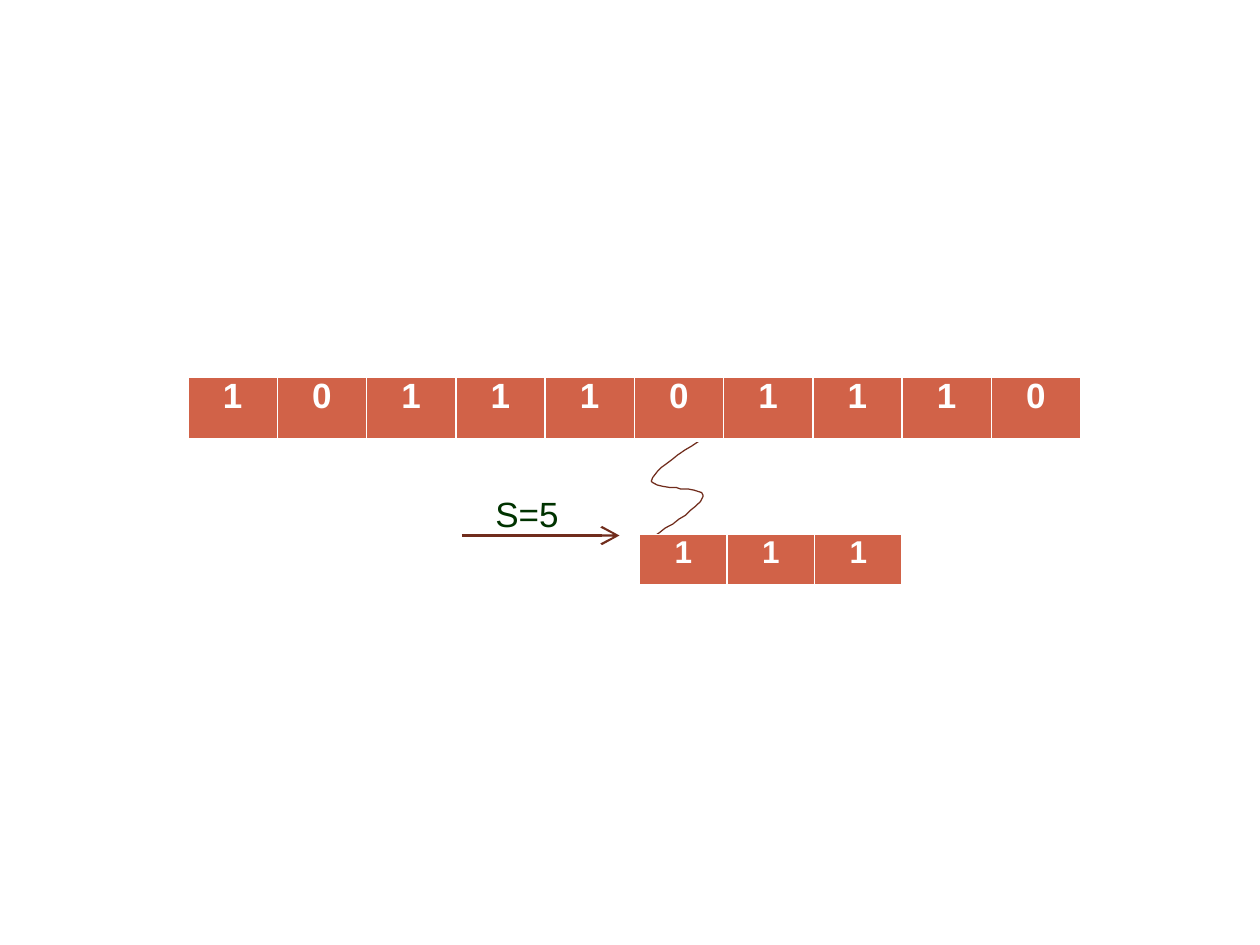
import pptx
import pptx.dml.color
import pptx.enum.shapes
import pptx.enum.text
import pptx.oxml
import pptx.oxml.ns
import pptx.util

Pt = pptx.util.Pt
CURVE = [
    (399.6, 252), (395.3, 254.9), (391.7, 257), (387.4, 259.9), (383.8, 262.8),
    (380.9, 265), (378, 267.1), (375.8, 269.3), (373, 272.9), (372.2, 275),
    (373, 275.8), (375.8, 277.2), (378.7, 277.9), (383, 278.6), (386.6, 278.6),
    (388.8, 279.4), (393.1, 279.4), (396.7, 280.1), (401, 281.5), (401.8, 283),
    (401.8, 283.7), (400.3, 286.6), (397.4, 289.4), (394.6, 291.6), (391.7, 294.5),
    (388.1, 296.6), (384.5, 299.5), (380.2, 301.7), (376.6, 304.6), (374.4, 306),
]


def color(value):
    return pptx.dml.color.RGBColor.from_string(value)


def element(markup):
    name, _, rest = markup.partition(" ")
    namespace = pptx.oxml.ns.nsdecls("a")
    return pptx.oxml.parse_xml(f"<a:{name} {namespace} {rest}")


class Diagram:
    font = "Arial"
    text_color = "003300"
    line_color = "702C1C"
    cell_fill = "D16248"
    white = "FFFFFF"

    def __init__(self, page):
        self.page = page

    def set_text(self, frame, text, size, ink, bold=False):
        frame.text = text
        font = frame.paragraphs[0].runs[0].font
        font.name, font.size, font.bold = self.font, Pt(size), bold
        font.color.rgb = color(ink)

    def label(self, text, left, top, width, height, size):
        box = self.page.shapes.add_textbox(Pt(left), Pt(top), Pt(width), Pt(height))
        frame = box.text_frame
        frame.margin_left = frame.margin_right = frame.margin_top = frame.margin_bottom = 0
        frame.word_wrap = True
        self.set_text(frame, text, size, self.text_color)

    def arrow(self, left, right, y, width):
        arrow = self.page.shapes.add_connector(
            pptx.enum.shapes.MSO_CONNECTOR.STRAIGHT, Pt(left), Pt(y), Pt(right), Pt(y))
        arrow.line.color.rgb = color(self.line_color)
        arrow.line.width = Pt(width)
        line = arrow._element.spPr.find(pptx.oxml.ns.qn("a:ln"))
        line.append(element('tailEnd type="arrow" w="lg" len="lg"/>'))
        arrow._element.spPr.append(element("effectLst />"))

    def curve(self, points, width):
        start, *rest = [(Pt(x), Pt(y)) for x, y in points]
        builder = self.page.shapes.build_freeform(*start)
        builder.add_line_segments(rest, close=False)
        curve = builder.convert_to_shape()
        curve.shadow.inherit = False
        curve.fill.background()
        curve.line.color.rgb = color(self.line_color)
        curve.line.width = Pt(width)

    def borders(self, cell):
        properties = cell._tc.get_or_add_tcPr()
        for index, (side, width) in enumerate({"L": 1, "R": 1, "T": 1, "B": 3}.items()):
            properties.insert(index, element(
                f'ln{side} w="{Pt(width)}"><a:solidFill><a:srgbClr val="{self.white}"/>'
                f"</a:solidFill></a:ln{side}>"))

    def bits(self, digits, left, top, width, height, size):
        table = self.page.shapes.add_table(
            1, len(digits), Pt(left), Pt(top), Pt(width), Pt(height)).table
        for column, cell, digit in zip(table.columns, table.rows[0].cells, digits):
            column.width = Pt(width / len(digits))
            cell.margin_left = cell.margin_right = cell.margin_top = cell.margin_bottom = 0
            cell.fill.solid()
            cell.fill.fore_color.rgb = color(self.cell_fill)
            self.borders(cell)
            self.set_text(cell.text_frame, digit, size, self.white, bold=True)
            cell.text_frame.paragraphs[0].alignment = pptx.enum.text.PP_ALIGN.CENTER


def main():
    deck = pptx.Presentation()
    deck.slide_width, deck.slide_height = Pt(720), Pt(540)
    diagram = Diagram(deck.slides.add_slide(deck.slide_layouts[6]))
    diagram.arrow(264, 354, 306, 1.25)
    diagram.label("S=5", 283, 281.5, 38, 22.5, 20)
    diagram.curve(CURVE, 0.72)
    diagram.bits("1011101110", 107.5, 215.5, 510, 36, 20)
    diagram.bits("111", 365.5, 305.5, 150, 29.5, 18)
    deck.save("out.pptx")


if __name__ == "__main__":
    main()
